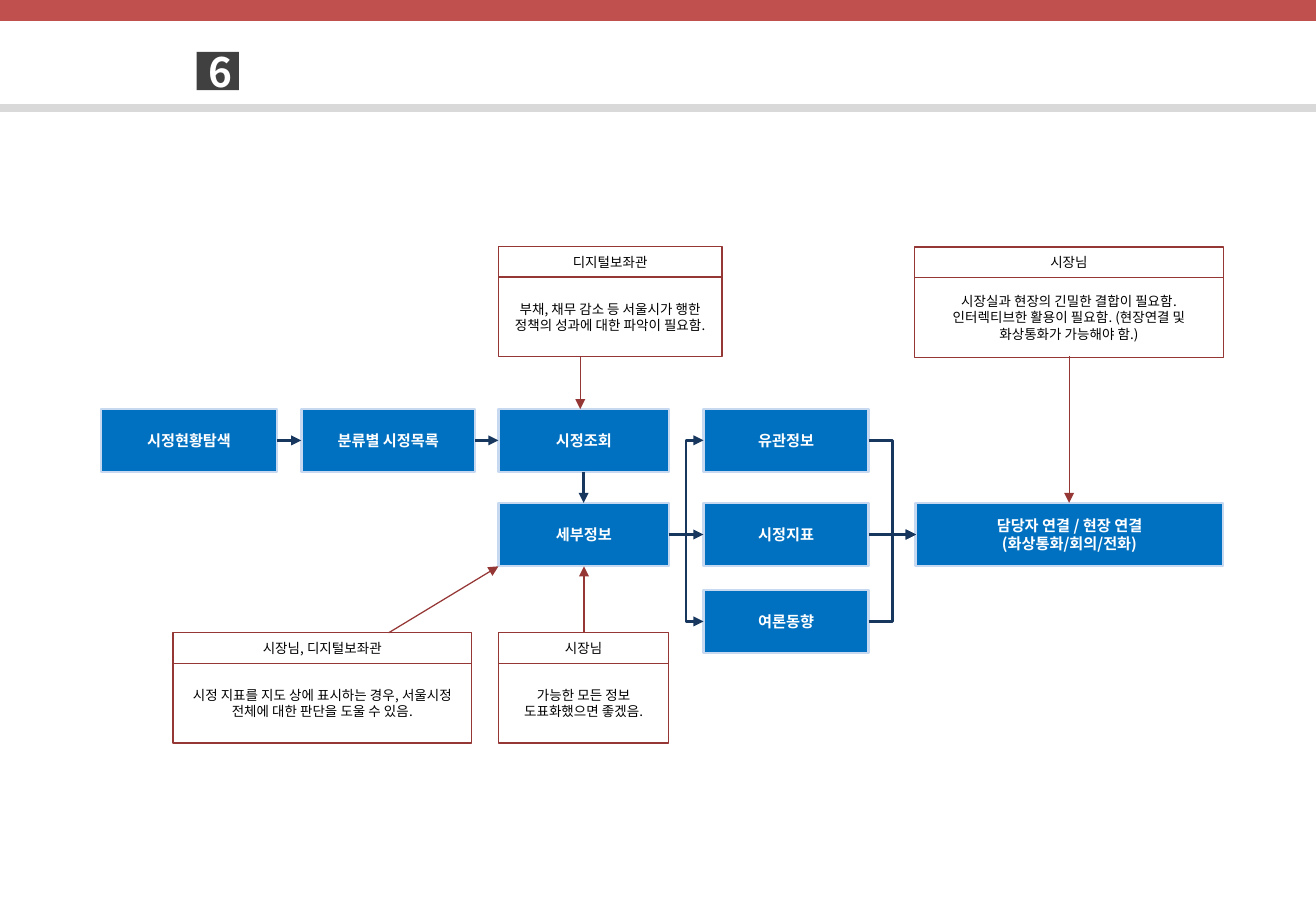
from pptx import Presentation
from pptx.dml.color import RGBColor
from pptx.enum.shapes import MSO_CONNECTOR, MSO_SHAPE
from pptx.enum.text import MSO_ANCHOR, PP_ALIGN
from pptx.oxml.ns import qn
from pptx.util import Pt
from lxml.etree import SubElement

W, H = 780.13, 540
FONT = "Noto Sans CJK KR"
COLORS = {
    "band": "C0504D", "rule": "D9D9D9", "badge": "404040",
    "step": "0070C0", "edge": "C6D9F1", "flow": "17375E",
    "note": "953735", "white": "FFFFFF", "black": "000000",
}

COLUMNS = [(59.8, 104.4), (178.6, 103), (295.5, 101), (417, 98), (542.9, 182.2)]
ROWS = [242.3, 298.1, 349.6]
STEP_H = 37.5
STEPS = {
    "search": (0, 0, ["시정현황탐색"]),
    "list": (1, 0, ["분류별 시정목록"]),
    "view": (2, 0, ["시정조회"]),
    "related": (3, 0, ["유관정보"]),
    "detail": (2, 1, ["세부정보"]),
    "index": (3, 1, ["시정지표"]),
    "opinion": (3, 2, ["여론동향"]),
    "contact": (4, 1, ["담당자 연결 / 현장 연결", "(화상통화/회의/전화)"]),
}

TOP, LEFT, BOTTOM, RIGHT = range(4)
FLOWS = [
    ("search", RIGHT, "list", LEFT),
    ("list", RIGHT, "view", LEFT),
    ("view", BOTTOM, "detail", TOP),
    ("detail", RIGHT, "related", LEFT),
    ("detail", RIGHT, "index", LEFT),
    ("detail", RIGHT, "opinion", LEFT),
    ("related", RIGHT, "contact", LEFT),
    ("index", RIGHT, "contact", LEFT),
    ("opinion", RIGHT, "contact", LEFT),
]

HEAD_H, BODY_H = 18.2, 47.2
NOTES = [
    (295.5, 146, 132.5, "디지털보좌관",
     ["부채, 채무 감소 등 서울시가 행한 정책의 성과에 대한 파악이 필요함."]),
    (542.3, 146.4, 182.8, "시장님",
     ["시장실과 현장의 긴밀한 결합이 필요함.",
      "인터렉티브한 활용이 필요함. (현장연결 및 화상통화가 가능해야 함.)"]),
    (102.5, 375.1, 177.2, "시장님, 디지털보좌관",
     ["시정 지표를 지도 상에 표시하는 경우, 서울시정 전체에 대한 판단을 도울 수 있음."]),
    (295.5, 375.1, 101, "시장님", ["가능한 모든 정보 도표화했으면 좋겠음."]),
]
NOTE_ARROWS = [
    (344, 211.3, 344, 242.5),
    (633.8, 211.3, 633.8, 298.1),
    (230.4, 375.1, 295.5, 335.7),
    (346.2, 375.1, 346.2, 335.7),
]


def color(name):
    return RGBColor.from_string(COLORS[name])


def add_box(s, x, y, w, h, fill=None, line=None, width=0.75,
            lines=(), size=8, ink="black", bold=False):
    sp = s.shapes.add_shape(MSO_SHAPE.RECTANGLE, Pt(x), Pt(y), Pt(w), Pt(h))
    sp.shadow.inherit = False
    if fill:
        sp.fill.solid()
        sp.fill.fore_color.rgb = color(fill)
    else:
        sp.fill.background()
    if line:
        sp.line.color.rgb = color(line)
        sp.line.width = Pt(width)
    else:
        sp.line.fill.background()
    tf = sp.text_frame
    tf.word_wrap = True
    tf.vertical_anchor = MSO_ANCHOR.MIDDLE
    if lines:
        tf.text = "\n".join(lines)
        for p in tf.paragraphs:
            p.alignment = PP_ALIGN.CENTER
            f = p.font
            f.size, f.bold, f.name = Pt(size), bold, FONT
            f.color.rgb = color(ink)
            SubElement(p._p.pPr.find(qn("a:defRPr")), qn("a:ea"), typeface=FONT)
    return sp


def add_line(s, points, ink, width, kind=MSO_CONNECTOR.STRAIGHT, arrow=True):
    c = s.shapes.add_connector(kind, *[Pt(v) for v in points])
    c.line.color.rgb = color(ink)
    c.line.width = Pt(width)
    if arrow:
        SubElement(c.line._get_or_add_ln(), qn("a:tailEnd"), type="triangle")
    SubElement(c._element.spPr, qn("a:effectLst"))
    return c


def main():
    prs = Presentation()
    prs.slide_width, prs.slide_height = Pt(W), Pt(H)
    s = prs.slides.add_slide(prs.slide_layouts[6])

    add_box(s, 0, 0, W, 12.4, fill="band")
    add_line(s, (0, 64.2, W, 64.2), "rule", 4.5, arrow=False)
    add_box(s, 116.6, 30.8, 25, 22.6, fill="badge",
            lines=["6"], size=24, ink="white", bold=True)

    boxes = {}
    for key, (col, row, lines) in STEPS.items():
        x, w = COLUMNS[col]
        boxes[key] = add_box(s, x, ROWS[row], w, STEP_H, "step", "edge", 1.5,
                             lines, 9, "white", True)

    for x, y, w, who, lines in NOTES:
        add_box(s, x, y, w, HEAD_H, line="note", lines=[who])
        add_box(s, x, y + HEAD_H, w, BODY_H, line="note", lines=lines)

    for start, out, end, into in FLOWS:
        same = any(STEPS[start][i] == STEPS[end][i] for i in (0, 1))
        kind = MSO_CONNECTOR.STRAIGHT if same else MSO_CONNECTOR.ELBOW
        c = add_line(s, (0, 0, 0, 0), "flow", 1.5, kind)
        c.begin_connect(boxes[start], out)
        c.end_connect(boxes[end], into)

    for points in NOTE_ARROWS:
        add_line(s, points, "note", 0.75)

    prs.save("out.pptx")


if __name__ == "__main__":
    main()
